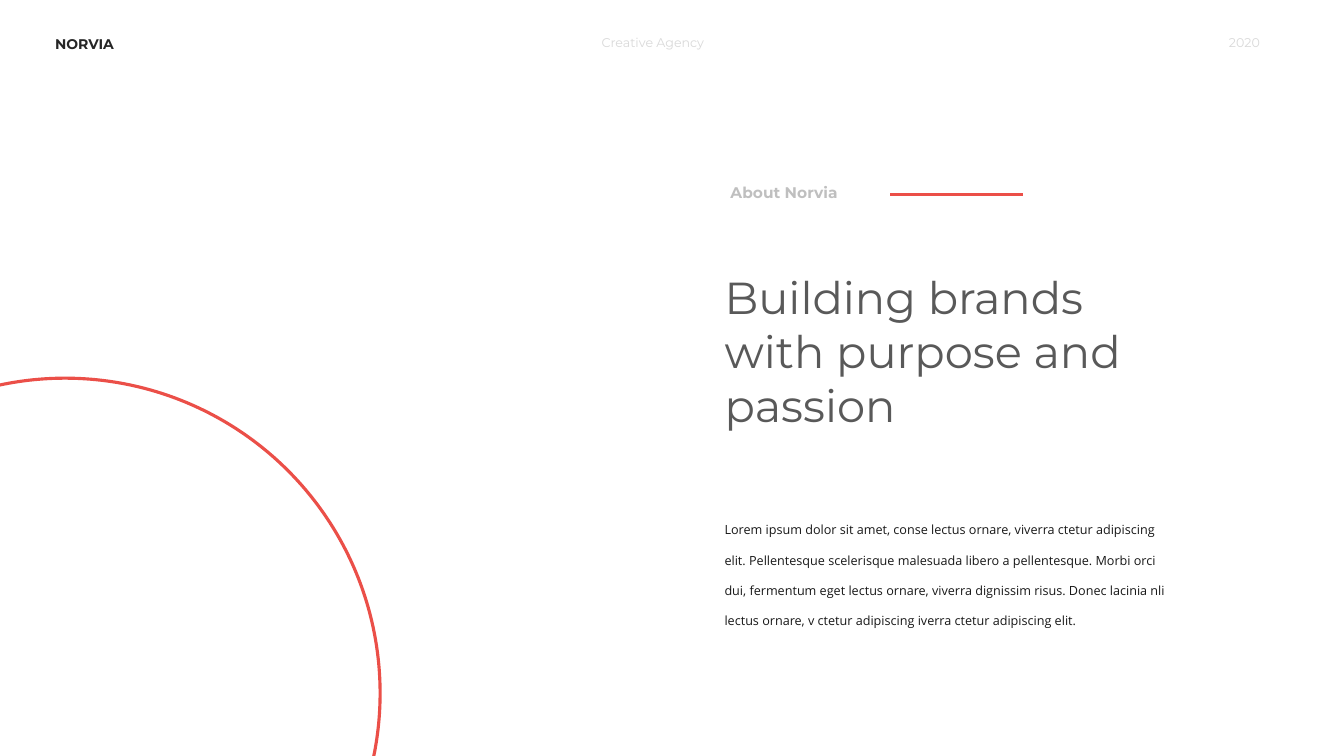
"""Build the agency "About" slide with a headline, body text and a circle."""
from dataclasses import dataclass

import pptx
import pptx.dml.color
import pptx.enum.shapes
import pptx.enum.text
import pptx.oxml.ns
import pptx.util
from lxml import etree

Cm = pptx.util.Cm
Align = pptx.enum.text.PP_ALIGN


@dataclass(frozen=True)
class TextStyle:
    font: str
    size: float
    color: str
    bold: bool = False


class Theme:
    accent = "EB4F48"
    background = "FFFFFF"
    stroke = pptx.util.Pt(2.25)
    brand = TextStyle("Montserrat", 10, "262626", True)
    header = TextStyle("Montserrat", 9, "D9D9D9")
    label = TextStyle("Montserrat", 11, "BFBFBF", True)
    headline = TextStyle("Montserrat", 32, "595959")
    body = TextStyle("Open Sans", 9, "181818")


BODY_TEXT = (
    "Lorem ipsum dolor sit amet, conse lectus ornare, viverra ctetur adipiscing elit. "
    "Pellentesque scelerisque malesuada libero a pellentesque. Morbi orci dui, "
    "fermentum eget lectus ornare, viverra dignissim risus. Donec lacinia nli "
    "lectus ornare, v ctetur adipiscing iverra ctetur adipiscing elit."
)


def rgb(color):
    return pptx.dml.color.RGBColor.from_string(color)


def add_text(slide, text, style, left, top, width, height,
             align=Align.LEFT, line_spacing=None):
    box = slide.shapes.add_textbox(Cm(left), Cm(top), Cm(width), Cm(height))
    frame = box.text_frame
    frame.word_wrap = True
    frame.auto_size = pptx.enum.text.MSO_AUTO_SIZE.SHAPE_TO_FIT_TEXT
    paragraph = frame.paragraphs[0]
    paragraph.alignment = align
    if line_spacing:
        paragraph.line_spacing = line_spacing
    run = paragraph.add_run()
    run.text = text
    run.font.name = style.font
    run.font.size = pptx.util.Pt(style.size)
    run.font.bold = style.bold
    run.font.color.rgb = rgb(style.color)


def apply_stroke(shape):
    shape.line.color.rgb = rgb(Theme.accent)
    shape.line.width = Theme.stroke


def add_ring(slide, left, top, diameter):
    ring = slide.shapes.add_shape(
        pptx.enum.shapes.MSO_SHAPE.OVAL,
        Cm(left), Cm(top), Cm(diameter), Cm(diameter))
    ring.shadow.inherit = False
    ring.fill.background()
    apply_stroke(ring)


def add_rule(slide, left, right, top):
    rule = slide.shapes.add_connector(
        pptx.enum.shapes.MSO_CONNECTOR.STRAIGHT,
        Cm(left), Cm(top), Cm(right), Cm(top))
    apply_stroke(rule)
    properties = rule._element.spPr
    etree.SubElement(properties, pptx.oxml.ns.qn("a:effectLst"))


def main():
    presentation = pptx.Presentation()
    presentation.slide_width = Cm(33.87)
    presentation.slide_height = Cm(19.05)
    slide = presentation.slides.add_slide(presentation.slide_layouts[6])
    slide.background.fill.solid()
    slide.background.fill.fore_color.rgb = rgb(Theme.background)

    add_ring(slide, -6.3, 9.53, 15.88)

    header_top = 0.76
    add_text(slide, "NORVIA", Theme.brand, 1.14, header_top, 2.72, 0.69)
    add_text(slide, "Creative Agency", Theme.header, 14.91, header_top, 4.01, 0.64)
    add_text(slide, "2020", Theme.header, 27.99, header_top, 4.01, 0.64, Align.RIGHT)

    add_text(slide, "About Norvia", Theme.label, 18.16, 4.5, 3.3, 0.74)
    add_rule(slide, 22.43, 25.78, 4.9)

    column_left = 18.01
    add_text(slide, "Building brands with purpose and passion", Theme.headline,
             column_left, 6.68, 11.38, 4.37)
    add_text(slide, BODY_TEXT, Theme.body, column_left, 12.65, 11.63, 3.23,
             line_spacing=2.0)

    presentation.save("out.pptx")


if __name__ == "__main__":
    main()
